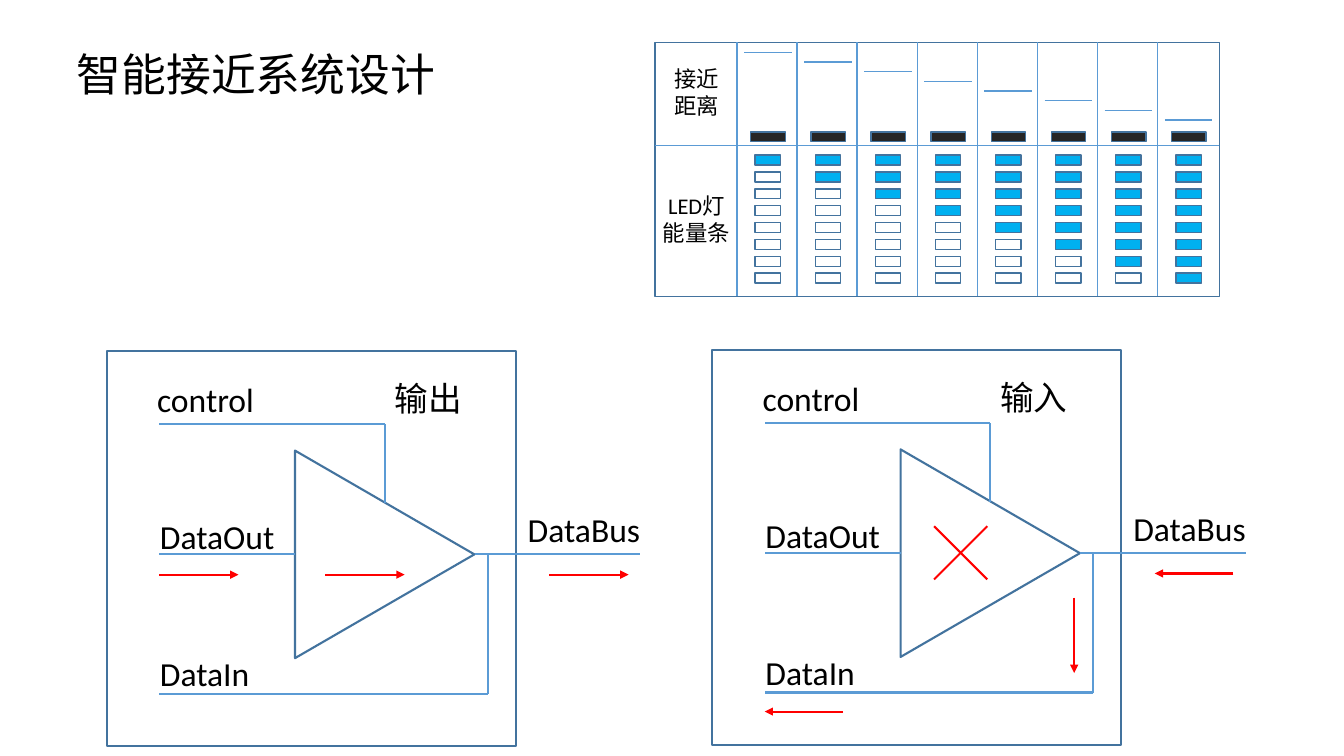
from lxml.etree import SubElement
from pptx import Presentation
from pptx.dml.color import RGBColor
from pptx.enum.shapes import MSO_CONNECTOR as CONNECTOR, MSO_SHAPE as SHAPE
from pptx.enum.text import MSO_ANCHOR as ANCHOR, MSO_AUTO_SIZE as AUTO_SIZE, PP_ALIGN as ALIGN
from pptx.oxml.ns import qn
from pptx.util import Cm, Pt

TITLE = "智能接近系统设计"
TITLE_BOX = (1.68, 1.04, 9.63, 1.63)
FONT = "Calibri"
BLACK, OUTLINE, WIRE, SIGNAL = "000000", "43739E", "5B9BD5", "FF0000"
LED_ON, SENSOR = "00B0F0", "262626"

BUFFER_FRAME = (0, 0, 10.31, 9.96)
BUFFER_TRIANGLE = (4.39, 2.87, 5.23, 4.52)
BUFFER_WIRES = [
    (7.01, 3.84, 7.01, 1.85),
    (7.01, 1.85, 1.32, 1.85),
    (4.75, 5.13, 1.32, 5.13),
    (9.27, 5.13, 13.44, 5.13),
    (9.6, 5.13, 9.6, 8.64),
    (9.6, 8.64, 1.32, 8.64),
]
BUFFER_LABELS = [
    ("DataBus", (10.36, 3.86, 3.38, 1.27)),
    ("DataIn", (1.09, 7.49, 2.79, 1.27)),
    ("DataOut", (1.09, 4.04, 3.43, 1.27)),
    ("control", (1.02, 0.58, 2.97, 1.27)),
]
MODE_BOX = (7.01, 0.56, 2.24, 1.27)
BUFFERS = [
    {
        "mode": "输出",
        "origin": (2.69, 8.84),
        "arrows": [(x, 5.64, x + 2, 5.64) for x in (1.32, 5.51, 11.15)],
        "cross": [],
    },
    {
        "mode": "输入",
        "origin": (17.95, 8.81),
        "arrows": [(3.3, 9.12, 1.32, 9.12), (13.13, 5.64, 11.15, 5.64), (9.12, 6.25, 9.12, 8.15)],
        "cross": [(5.59, 4.45, 6.93, 5.79), (5.59, 5.79, 6.93, 4.45)],
    },
]

PANEL = (16.51, 1.07, 14.22, 6.4)
PANEL_LABELS = [
    ("接近\n距离", (16.74, 1.52, 1.65, 1.63)),
    ("LED灯\n能量条", (16.43, 4.72, 2.24, 1.63)),
]
LEVELS = 8
ROW_DIVIDER = 3.66
COLUMN_LEFT, COLUMN_STEP = 18.57, 1.515
TARGET_INDENT, TARGET_WIDTH, TARGET_TOP, TARGET_STEP = 0.18, 1.2, 1.32, 0.243
SENSOR_INDENT, SENSOR_TOP, SENSOR_SIZE = 0.35, 3.33, (0.87, 0.23)
LED_INDENT, LED_TOP, LED_STEP, LED_SIZE = 0.46, 3.91, 0.425, (0.64, 0.25)

deck = Presentation()
deck.slide_width, deck.slide_height = Cm(33.87), Cm(19.05)
slide = deck.slides.add_slide(deck.slide_layouts[5])


def color(hex_value):
    return RGBColor.from_string(hex_value)


def shift(box, origin):
    return (box[0] + origin[0], box[1] + origin[1], *box[2:])


def shift_ends(ends, origin):
    return (*shift(ends[:2], origin), *shift(ends[2:], origin))


def write(holder, text, size=24, align=ALIGN.LEFT, anchor=ANCHOR.TOP):
    frame = holder.text_frame
    frame.text = text
    frame.word_wrap = False
    frame.auto_size = AUTO_SIZE.NONE
    frame.vertical_anchor = anchor
    for paragraph in frame.paragraphs:
        paragraph.alignment = align
        paragraph.font.name = FONT
        paragraph.font.size = Pt(size)
        paragraph.font.color.rgb = color(BLACK)


def add_label(text, box, **style):
    write(slide.shapes.add_textbox(*map(Cm, box)), text, **style)


def add_outline(box, fill=None, width=1, kind=SHAPE.RECTANGLE, rotation=0):
    outline = slide.shapes.add_shape(kind, *map(Cm, box))
    outline.shadow.inherit = False
    outline.rotation = rotation
    outline.line.color.rgb = color(OUTLINE)
    outline.line.width = Pt(width)
    if fill:
        outline.fill.solid()
        outline.fill.fore_color.rgb = color(fill)
    else:
        outline.fill.background()


def add_line(ends, stroke=WIRE, width=1.5, arrow=False):
    line = slide.shapes.add_connector(CONNECTOR.STRAIGHT, *map(Cm, ends))
    line.line.color.rgb = color(stroke)
    line.line.width = Pt(width)
    if arrow:
        SubElement(line.line._get_or_add_ln(), qn("a:tailEnd"), type="triangle")
    SubElement(line._element.spPr, qn("a:effectLst"))


def draw_buffer(mode, origin, arrows, cross):
    add_outline(shift(BUFFER_FRAME, origin), width=1.5)
    add_outline(shift(BUFFER_TRIANGLE, origin), width=1.5, kind=SHAPE.ISOSCELES_TRIANGLE, rotation=90)
    for wire in BUFFER_WIRES:
        add_line(shift_ends(wire, origin))
    for text, box in BUFFER_LABELS + [(mode, MODE_BOX)]:
        add_label(text, shift(box, origin))
    for arrow in arrows:
        add_line(shift_ends(arrow, origin), SIGNAL, arrow=True)
    for stroke in cross:
        add_line(shift_ends(stroke, origin), SIGNAL)


def draw_panel():
    left, top, width, height = PANEL
    add_outline(PANEL)
    add_line((left, ROW_DIVIDER, left + width, ROW_DIVIDER), width=1)
    for level in range(LEVELS):
        column = COLUMN_LEFT + level * COLUMN_STEP
        add_line((column, top, column, top + height), width=1)
        target_left = column + TARGET_INDENT
        target_y = TARGET_TOP + level * TARGET_STEP
        add_line((target_left, target_y, target_left + TARGET_WIDTH, target_y), width=1)
        add_outline((column + SENSOR_INDENT, SENSOR_TOP, *SENSOR_SIZE), SENSOR)
        for led in range(LEVELS):
            led_box = (column + LED_INDENT, LED_TOP + led * LED_STEP, *LED_SIZE)
            add_outline(led_box, LED_ON if led <= level else None)
    for text, box in PANEL_LABELS:
        add_label(text, box, size=16, align=ALIGN.CENTER)


title = slide.shapes.title
title.left, title.top, title.width, title.height = map(Cm, TITLE_BOX)
write(title, TITLE, size=32, anchor=ANCHOR.MIDDLE)
for buffer in BUFFERS:
    draw_buffer(**buffer)
draw_panel()

deck.save("out.pptx")
